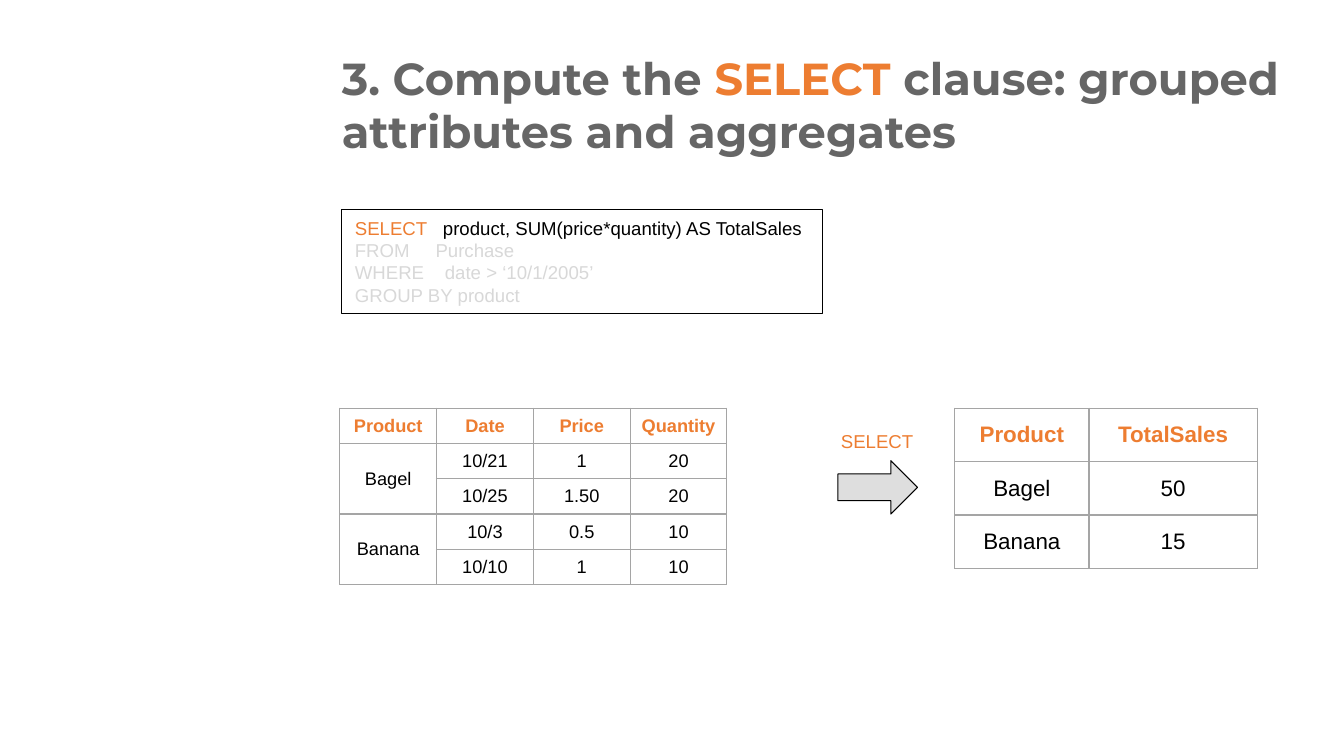
from lxml import etree
from pptx import Presentation
from pptx.dml.color import RGBColor
from pptx.enum import shapes, text
from pptx.oxml import ns
from pptx.util import Inches, Pt

ORANGE, GRAY, BLACK = "ED7D31", "666666", "000000"
FADED, BORDER, WHITE = "D8D8D8", "A5A5A5", "FFFFFF"


def color(value):
    return RGBColor.from_string(value)


class SlideBuilder:
    body_font = "Arial"
    title_font = "Montserrat"

    def __init__(self, presentation):
        self.slide = presentation.slides.add_slide(presentation.slide_layouts[0])
        self.slide.placeholders[1].element.getparent().remove(
            self.slide.placeholders[1].element)

    def style(self, paragraph, size, name=body_font, bold=False):
        paragraph.font.size = Pt(size)
        paragraph.font.name = name
        paragraph.font.bold = bold

    def fill_text(self, frame, lines, size, insets, **font):
        """Write lines, each a list of (words, colour) runs, into a text frame."""
        frame.word_wrap = True
        frame.auto_size = text.MSO_AUTO_SIZE.NONE
        frame.vertical_anchor = text.MSO_ANCHOR.TOP
        frame.margin_left = frame.margin_right = Inches(insets[0])
        frame.margin_top = frame.margin_bottom = Inches(insets[1])
        for index, runs in enumerate(lines):
            paragraph = frame.add_paragraph() if index else frame.paragraphs[0]
            paragraph.alignment = text.PP_ALIGN.LEFT
            self.style(paragraph, size, **font)
            for words, tint in runs:
                run = paragraph.add_run()
                run.text = words
                run.font.color.rgb = color(tint)

    def title(self, box, runs):
        title = self.slide.shapes.title
        title.left, title.top, title.width, title.height = map(Inches, box)
        self.fill_text(title.text_frame, [runs], 32, (0.13, 0.13),
                       name=self.title_font, bold=True)

    def shape(self, kind, box, fill, opacity=100):
        shape = self.slide.shapes.add_shape(kind, *map(Inches, box))
        shape.shadow.inherit = False
        shape.fill.solid()
        shape.fill.fore_color.rgb = color(fill)
        if opacity < 100:
            tint = shape.element.spPr.find(".//" + ns.qn("a:srgbClr"))
            etree.SubElement(tint, ns.qn("a:alpha"), val=str(opacity * 1000))
        shape.line.color.rgb = color(BLACK)
        shape.line.width = Pt(0.75)
        return shape

    def code(self, box, lines):
        shape = self.shape(shapes.MSO_SHAPE.RECTANGLE, box, WHITE)
        self.fill_text(shape.text_frame, lines, 13.3, (0.13, 0.07))

    def label(self, box, words):
        label = self.slide.shapes.add_textbox(*map(Inches, box))
        self.fill_text(label.text_frame, [[(words, ORANGE)]], 13.3, (0.13, 0.07))

    def cell(self, cell, words, size, header):
        cell.fill.background()
        cell.vertical_anchor = text.MSO_ANCHOR.MIDDLE
        cell.margin_left = cell.margin_right = Inches(0.08)
        cell.margin_top = cell.margin_bottom = Inches(0.04)
        paragraph = cell.text_frame.paragraphs[0]
        paragraph.text = words or ""
        paragraph.alignment = text.PP_ALIGN.CENTER
        self.style(paragraph, size, bold=header)
        paragraph.font.color.rgb = color(ORANGE if header else BLACK)
        properties = cell._tc.get_or_add_tcPr()
        for index, side in enumerate(("lnL", "lnR", "lnT", "lnB")):
            line = etree.Element(ns.qn("a:" + side), w=str(Pt(1)))
            solid = etree.SubElement(line, ns.qn("a:solidFill"))
            etree.SubElement(solid, ns.qn("a:srgbClr"), val=BORDER)
            properties.insert(index, line)

    def table(self, left, top, widths, row_height, size, rows):
        """Add a table; a None entry joins the cell above it."""
        table = self.slide.shapes.add_table(
            len(rows), len(widths), Inches(left), Inches(top),
            Inches(sum(widths)), Inches(row_height * len(rows))).table
        table.first_row = table.horz_banding = False
        for column, width in zip(table.columns, widths):
            column.width = Inches(width)
        for r, values in enumerate(rows):
            table.rows[r].height = Inches(row_height)
            for c, words in enumerate(values):
                self.cell(table.cell(r, c), words, size, header=r == 0)
                if words is None:
                    table.cell(r - 1, c).merge(table.cell(r, c))


def main():
    presentation = Presentation()
    presentation.slide_width = Inches(13.33)
    presentation.slide_height = Inches(7.5)
    builder = SlideBuilder(presentation)

    builder.title((3.26, 0.37, 9.74, 1.69), [
        ("3. Compute the ", GRAY), ("SELECT", ORANGE),
        (" clause: grouped attributes and aggregates", GRAY)])
    builder.shape(shapes.MSO_SHAPE.RIGHT_ARROW, (8.31, 4.57, 0.79, 0.53),
                  "BFBFBF", opacity=50)
    builder.code((3.39, 2.08, 4.77, 1.03), [
        [("SELECT", ORANGE),
         ("   product, SUM(price*quantity) AS TotalSales", BLACK)],
        [("FROM     Purchase", FADED)],
        [("WHERE    date > ‘10/1/2005’", FADED)],
        [("GROUP BY product", FADED)]])
    builder.table(9.47, 4.05, [1.33, 1.67], 0.53, 16, [
        ["Product", "TotalSales"],
        ["Bagel", "50"],
        ["Banana", "15"]])
    builder.label((8.21, 4.19, 0.99, 0.36), "SELECT")
    builder.table(3.37, 4.05, [0.96] * 4, 0.35, 13, [
        ["Product", "Date", "Price", "Quantity"],
        ["Bagel", "10/21", "1", "20"],
        [None, "10/25", "1.50", "20"],
        ["Banana", "10/3", "0.5", "10"],
        [None, "10/10", "1", "10"]])
    presentation.save("out.pptx")


if __name__ == "__main__":
    main()
